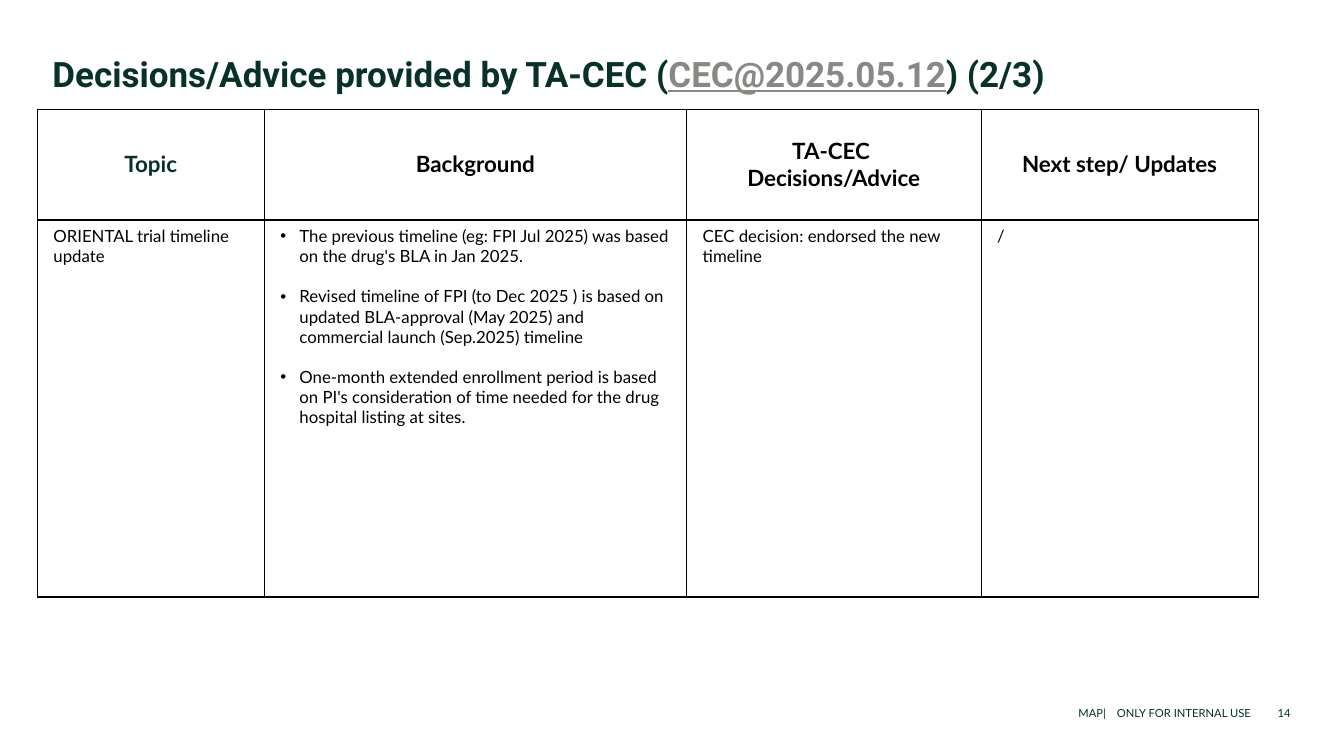
from lxml import etree
from pptx import Presentation
from pptx import util as u
from pptx.dml.color import RGBColor
from pptx.enum import text
from pptx.oxml.ns import qn

GREEN = RGBColor(0x08, 0x31, 0x2A)
GREY = RGBColor(0x89, 0x88, 0x85)
BLACK = RGBColor(0, 0, 0)

TITLE = [
    ("Decisions/Advice provided by TA-CEC (", GREEN, False),
    ("CEC@2025.05.12", GREY, True),
    (") (2/3)", GREEN, False),
]
FOOTERS = [
    ("MAP|", 6.9, 10.97),
    ("ONLY FOR INTERNAL USE", 10.97, 12.41),
    ("14", 12.49, 12.8),
]
HEADINGS = [
    (["Topic"], GREEN),
    (["Background"], BLACK),
    (["TA-CEC ", "Decisions/Advice"], BLACK),
    (["Next step/ Updates"], BLACK),
]
DETAILS = [
    ["ORIENTAL trial timeline update"],
    [
        "The previous timeline (eg: FPI Jul 2025) was based on the drug's BLA in Jan 2025.",
        "Revised timeline of FPI (to Dec 2025 ) is based on updated BLA-approval (May 2025) "
        "and commercial launch (Sep.2025) timeline",
        "One-month extended enrollment period is based on PI's consideration of time needed "
        "for the drug hospital listing at sites.",
    ],
    ["CEC decision: endorsed the new timeline"],
    ["/"],
]
COLUMN_WIDTHS = [2.25, 4.19, 2.92, 2.75]
ROW_HEIGHTS = [1.1, 3.74]

CELL_MARGINS = {"margin_left": u.Inches(0.16), "margin_right": u.Inches(0.16),
                "margin_top": u.Inches(0.06), "margin_bottom": u.Inches(0.06)}
BOX_FORMAT = {"margin_left": 0, "margin_right": 0, "margin_top": 0,
              "margin_bottom": 0, "word_wrap": True}
TITLE_FONT = {"name": "Roboto", "size": u.Pt(25), "bold": True}
FOOTER_FONT = {"name": "Lato", "size": u.Pt(8)}
HEADING_FONT = {"name": "Lato", "size": u.Pt(16), "bold": True}
DETAIL_FONT = {"name": "Lato", "size": u.Pt(12), "bold": False}


def apply(target, values):
    for key, value in values.items():
        setattr(target, key, value)


def add_run(paragraph, words, font, colour):
    run = paragraph.add_run()
    run.text = words
    apply(run.font, font)
    run.font.color.rgb = colour
    return run


def add_box(slide, left, top, width, height, anchor):
    box = slide.shapes.add_textbox(*map(u.Inches, (left, top, width, height)))
    apply(box.text_frame, {**BOX_FORMAT, "vertical_anchor": anchor})
    return box.text_frame.paragraphs[0]


def add_bullet(paragraph):
    properties = paragraph._p.get_or_add_pPr()
    properties.set("marL", str(u.Inches(0.19)))
    properties.set("indent", str(-u.Inches(0.19)))
    etree.SubElement(properties, qn("a:buFont"), typeface="Arial")
    etree.SubElement(properties, qn("a:buChar"), char="•")


def add_borders(cell, widths):
    properties = cell._tc.get_or_add_tcPr()
    for side, width in widths.items():
        line = etree.SubElement(properties, qn("a:" + side), w=str(u.Pt(width)))
        fill = etree.SubElement(line, qn("a:solidFill"))
        etree.SubElement(fill, qn("a:srgbClr"), val=str(BLACK))


def fill_cell(cell, lines, font, colour, heading):
    add_borders(cell, {"lnL": 0.5, "lnR": 0.5, "lnT": 0.5 if heading else 1.5, "lnB": 1.5})
    cell.fill.background()
    apply(cell, CELL_MARGINS)
    cell.vertical_anchor = text.MSO_ANCHOR.MIDDLE if heading else text.MSO_ANCHOR.TOP
    for index, line in enumerate(lines):
        frame = cell.text_frame
        paragraph = frame.add_paragraph() if index else frame.paragraphs[0]
        if heading:
            paragraph.alignment = text.PP_ALIGN.CENTER
        elif len(lines) > 1:
            add_bullet(paragraph)
            if index:
                paragraph.space_before = u.Pt(14.4)
        add_run(paragraph, line, font, colour)


def main():
    deck = Presentation()
    deck.slide_width, deck.slide_height = u.Inches(13.33), u.Inches(7.5)
    slide = deck.slides.add_slide(deck.slide_layouts[6])

    title = add_box(slide, 0.52, 0.52, 12.28, 0.79, text.MSO_ANCHOR.TOP)
    for words, colour, underlined in TITLE:
        add_run(title, words, TITLE_FONT, colour).font.underline = underlined

    for words, left, right in FOOTERS:
        footer = add_box(slide, left, 6.83, right - left, 0.31, text.MSO_ANCHOR.BOTTOM)
        footer.alignment = text.PP_ALIGN.RIGHT
        add_run(footer, words, FOOTER_FONT, GREEN)

    decisions = slide.shapes.add_table(
        len(ROW_HEIGHTS), len(COLUMN_WIDTHS), u.Inches(0.37), u.Inches(1.08),
        u.Inches(sum(COLUMN_WIDTHS)), u.Inches(sum(ROW_HEIGHTS))).table
    apply(decisions, {"first_row": False, "horz_banding": False})
    for row, height in zip(decisions.rows, ROW_HEIGHTS):
        row.height = u.Inches(height)
    for index, width in enumerate(COLUMN_WIDTHS):
        decisions.columns[index].width = u.Inches(width)
        heading, colour = HEADINGS[index]
        fill_cell(decisions.cell(0, index), heading, HEADING_FONT, colour, True)
        fill_cell(decisions.cell(1, index), DETAILS[index], DETAIL_FONT, BLACK, False)

    deck.save("out.pptx")


if __name__ == "__main__":
    main()
